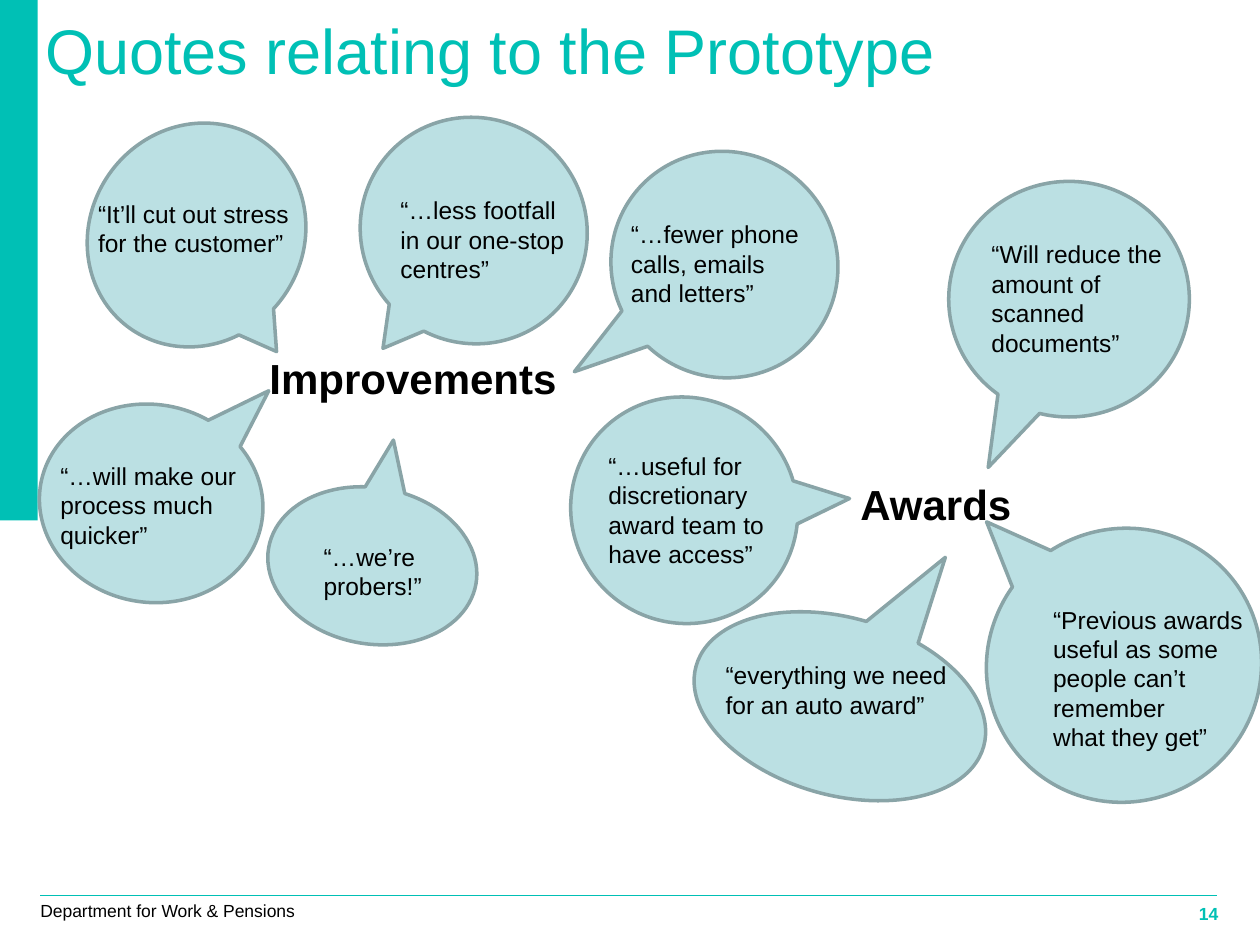
import pptx
from pptx.dml.color import RGBColor
from pptx.enum.shapes import MSO_CONNECTOR, MSO_SHAPE
from pptx.enum.text import MSO_ANCHOR, PP_ALIGN
from pptx.oxml.ns import qn
from pptx.util import Inches, Pt
from lxml import etree

THEME = {
    "font": "Arial",
    "teal": RGBColor(0x00, 0xC0, 0xB5),
    "bubble": RGBColor(0xBB, 0xE0, 0xE3),
    "outline": RGBColor(0x89, 0xA4, 0xA7),
    "text": RGBColor(0x00, 0x00, 0x00),
    "title": 36, "heading": 24, "quote": 14, "footer": 10,
}

TITLE = "Quotes relating to the Prototype"
FOOTER = "Department for Work & Pensions"
PAGE = "14"
HEADINGS = [("Improvements", (2.04, 2.75, 2.48, 0.5)),
            ("Awards", (6.73, 3.75, 1.4, 0.5))]

ROUND = (1.82, 1.78)
# quote, text box, wraps, bubble position, bubble size, rotation, tail tip
QUOTES = [
    ("“It’ll cut out stress\nfor the customer”", (0.68, 1.53, 1.77, 0.57), False,
     (0.65, 1.02), (1.82, 1.69), 305.8, (-0.208, 0.625)),
    ("“…will make our\nprocess much\nquicker”", (0.38, 3.61, 1.65, 0.8), False,
     (0.31, 3.21), (1.78, 1.57), 189.9, (-0.43, 0.663)),
    ("“everything we need\nfor an auto award”", (5.66, 5.19, 2.01, 0.57), False,
     (5.48, 4.9), (2.37, 1.41), 195.6, (-0.206, 0.967)),
    ("“…less footfall in our one-stop centres”", (3.08, 1.5, 1.6, 0.8), True,
     (2.85, 0.94), ROUND, 42.4, (0.054, 0.661)),
    ("“Will reduce the amount of scanned documents”", (7.77, 1.85, 1.62, 1.04), True,
     (7.53, 1.44), (1.91, 1.87), 0, (-0.336, 0.714)),
    ("“…we’re probers!”", (2.47, 4.25, 1.6, 0.57), True,
     (2.12, 3.87), (1.67, 1.24), 189.9, (0.004, 0.816)),
    ("“…fewer phone calls, emails and letters”", (4.91, 1.69, 1.6, 0.8), True,
     (4.84, 1.21), ROUND, 42.4, (-0.168, 0.804)),
    ("“Previous awards\nuseful as some\npeople can’t\nremember\nwhat they get”",
     (8.26, 4.75, 1.76, 1.27), False,
     (7.82, 4.2), (2.2, 2.16), 141.2, (0.062, 0.727)),
    ("“…useful for discretionary award team to have access”",
     (4.73, 3.53, 1.6, 1.04), True,
     (4.52, 3.16), ROUND, 42.4, (0.498, -0.536)),
]


def inches(values):
    return [Inches(v) for v in values]


def write(tf, text, size, color="text", bold=False, align=PP_ALIGN.LEFT,
          wrap=False, inset=True):
    tf.text = text
    tf.word_wrap = wrap
    tf.vertical_anchor = MSO_ANCHOR.TOP
    tf.margin_left = tf.margin_right = Inches(0.1 if inset else 0)
    tf.margin_top = tf.margin_bottom = Inches(0.05 if inset else 0)
    for p in tf.paragraphs:
        p.alignment = align
        p.font.name = THEME["font"]
        p.font.size = Pt(THEME[size])
        p.font.bold = bold
        p.font.color.rgb = THEME[color]


def add_text(s, box, text, size, **style):
    tf = s.shapes.add_textbox(*inches(box)).text_frame
    write(tf, text, size, **style)
    return tf


def add_bubble(s, position, size, rotation, tail):
    sp = s.shapes.add_shape(MSO_SHAPE.OVAL_CALLOUT, *inches(position + size))
    sp.shadow.inherit = False
    sp.rotation = rotation
    sp.adjustments[0], sp.adjustments[1] = tail
    sp.fill.solid()
    sp.fill.fore_color.rgb = THEME["bubble"]
    sp.line.color.rgb = THEME["outline"]
    sp.line.width = Pt(2)


def add_frame(s):
    """Side band, footer rule, page number and footer."""
    band = s.shapes.add_shape(MSO_SHAPE.RECTANGLE, *inches((0, 0, 0.3, 4.13)))
    band.shadow.inherit = False
    band.fill.solid()
    band.fill.fore_color.rgb = THEME["teal"]
    band.line.fill.background()

    rule = s.shapes.add_connector(MSO_CONNECTOR.STRAIGHT,
                                  *inches((0.32, 7.11, 9.66, 7.11)))
    rule.line.color.rgb = THEME["teal"]
    rule.line.width = Pt(0.75)
    etree.SubElement(rule._element.spPr, qn("a:effectLst"))

    tf = add_text(s, (9.11, 7.15, 0.56, 0.16), PAGE, "footer", color="teal",
                  bold=True, align=PP_ALIGN.RIGHT, wrap=True, inset=False)
    tf.paragraphs[0].line_spacing = 1.1
    tf.paragraphs[0].space_before = Pt(6.2)
    add_text(s, (0.32, 7.14, 2.02, 0.17), FOOTER, "footer", inset=False)


def main():
    prs = pptx.Presentation()
    prs.slide_width, prs.slide_height = Inches(10), Inches(7.5)
    s = prs.slides.add_slide(prs.slide_layouts[5])

    title = s.shapes.title
    title.left, title.top, title.width, title.height = inches((0.36, 0.09, 9, 1.1))
    write(title.text_frame, TITLE, "title", color="teal", wrap=True, inset=False)

    add_frame(s)
    for text, box in HEADINGS:
        add_text(s, box, text, "heading", bold=True)
    for text, box, wrap, *bubble in QUOTES:
        add_bubble(s, *bubble)
        add_text(s, box, text, "quote", wrap=wrap)

    prs.save("out.pptx")


if __name__ == "__main__":
    main()
